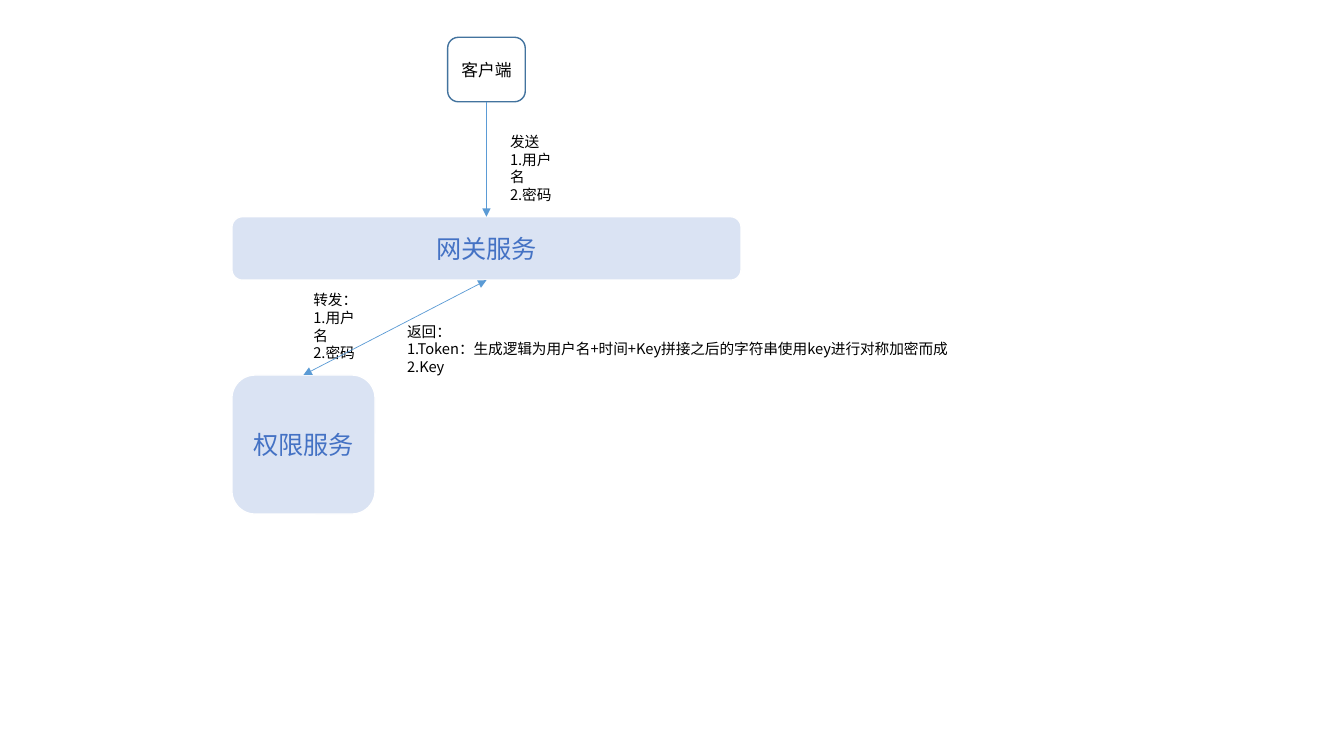
from pptx import Presentation
from pptx.dml.color import RGBColor
from pptx.enum.shapes import MSO_CONNECTOR, MSO_SHAPE
from pptx.enum.text import MSO_ANCHOR, PP_ALIGN
from pptx.oxml.ns import qn
from pptx.util import Inches, Pt
from lxml import etree

ROUNDED = MSO_SHAPE.ROUNDED_RECTANGLE
STRAIGHT = MSO_CONNECTOR.STRAIGHT
MIDDLE, TOP_ANCHOR = MSO_ANCHOR.MIDDLE, MSO_ANCHOR.TOP
CENTER, LEFT = PP_ALIGN.CENTER, PP_ALIGN.LEFT
TOP_SIDE, BOTTOM_SIDE = 0, 2

FONT = "Noto Sans CJK SC"
BLACK, WHITE = "000000", "FFFFFF"
PALE_BLUE, TEXT_BLUE = "DAE3F3", "4472C4"
OUTLINE_BLUE, ARROW_BLUE = "43739E", "5B9BD5"


def color(hex_text):
    return RGBColor.from_string(hex_text)


def add_span(para, text, size, hex_text):
    span = para.add_run()
    span.text = text
    span.font.size = Pt(size)
    span.font.name = FONT
    span.font.color.rgb = color(hex_text)
    # East Asian typeface for the Chinese characters
    east_asian = etree.SubElement(span.font._element, qn("a:ea"))
    east_asian.set("typeface", FONT)


def write_lines(frame, lines, size, hex_text, align, anchor):
    frame.word_wrap = True
    frame.vertical_anchor = anchor
    for index, line in enumerate(lines):
        para = frame.add_paragraph() if index else frame.paragraphs[0]
        para.alignment = align
        add_span(para, line, size, hex_text)


def add_node(page, place, text, size, text_color, line_color, fill=None):
    box = page.shapes.add_shape(ROUNDED, *map(Inches, place))
    box.shadow.inherit = False
    if fill:
        box.fill.solid()
        box.fill.fore_color.rgb = color(fill)
    else:
        box.fill.background()
    box.line.color.rgb = color(line_color)
    box.line.width = Pt(1)
    write_lines(box.text_frame, [text], size, text_color, CENTER, MIDDLE)
    return box


def add_service(page, place, text):
    return add_node(page, place, text, 18, TEXT_BLUE, WHITE, PALE_BLUE)


def add_note(page, place, lines):
    box = page.shapes.add_textbox(*map(Inches, place))
    write_lines(box.text_frame, lines, 10.5, BLACK, LEFT, TOP_ANCHOR)


def add_arrow(page, start, start_side, end, end_side, ends=("tailEnd",)):
    arrow = page.shapes.add_connector(STRAIGHT, 0, 0, 0, 0)
    arrow.begin_connect(start, start_side)
    arrow.end_connect(end, end_side)
    arrow.line.color.rgb = color(ARROW_BLUE)
    arrow.line.width = Pt(0.5)
    properties = arrow._element.spPr
    outline = properties.find(qn("a:ln"))
    for end_name in ends:
        etree.SubElement(outline, qn("a:" + end_name)).set("type", "triangle")
    etree.SubElement(properties, qn("a:effectLst"))


def main():
    deck = Presentation()
    deck.slide_width, deck.slide_height = Inches(13.33), Inches(7.5)
    page = deck.slides.add_slide(deck.slide_layouts[6])
    credentials = ["1.用户名", "2.密码"]

    # Client sends its credentials to the gateway
    gateway = add_service(page, (2.3, 2.15, 5.05, 0.63), "网关服务")
    client = add_node(page, (4.44, 0.37, 0.77, 0.64), "客户端", 12,
                      BLACK, OUTLINE_BLUE)
    add_note(page, (4.96, 1.27, 0.75, 0.63), ["发送"] + credentials)
    add_arrow(page, client, BOTTOM_SIDE, gateway, TOP_SIDE)

    # Gateway forwards them to the permission service
    permission = add_service(page, (2.3, 3.72, 1.42, 1.38), "权限服务")
    add_note(page, (3.01, 2.84, 0.75, 0.63), ["转发："] + credentials)
    add_arrow(page, permission, TOP_SIDE, gateway, BOTTOM_SIDE,
              ("headEnd", "tailEnd"))

    # Permission service returns the token and key
    add_note(page, (3.94, 3.15, 5.6, 0.63), [
        "返回：",
        "1.Token：生成逻辑为用户名+时间+Key拼接之后的字符串使用key进行对称加密而成",
        "2.Key",
    ])

    deck.save("out.pptx")


if __name__ == "__main__":
    main()
